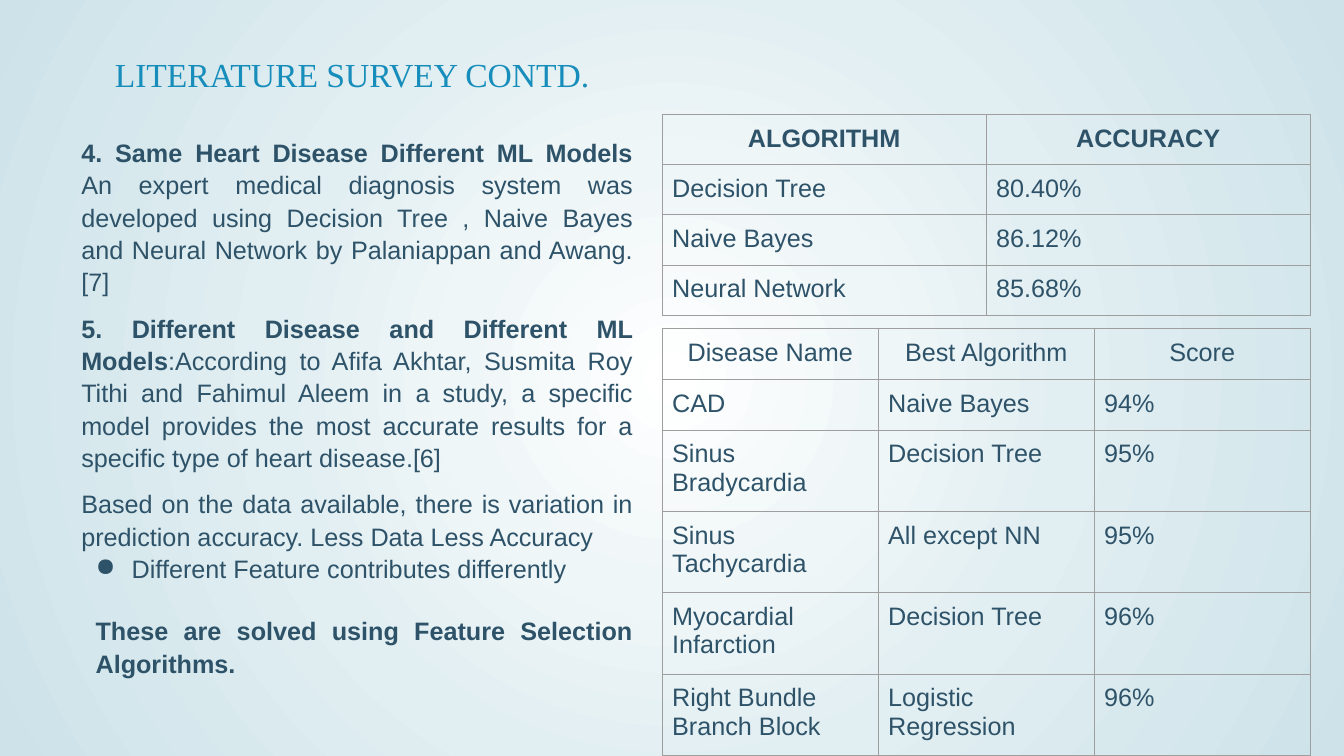
import pptx
import pptx.dml.color
import pptx.enum.text
import pptx.oxml
import pptx.oxml.ns
import pptx.util
from pptx.util import Cm

TEXT_COLOR = "2E5369"
TITLE_COLOR = "168DBA"
BORDER_COLOR = "9E9E9E"
GRADIENT_STOPS = [(0, "FFFFFF"), (28, "EFF6F8"), (52, "E1EEF2"), (100, "CDE3E9")]
ALIGN = pptx.enum.text.PP_ALIGN

# Each paragraph: runs as (text, bold), space before, left margin, first-line indent, bullet
SURVEY = [
    ([("4. Same Heart Disease Different ML Models", True),
      ("\vAn expert medical diagnosis system was developed using Decision Tree , "
       "Naive Bayes and Neural Network by Palaniappan and Awang.[7]", False)], 0, 0, 0, None),
    ([("5. Different Disease and Different ML Models", True),
      (":According to Afifa Akhtar, Susmita Roy Tithi and Fahimul Aleem in a study, "
       "a specific model provides the most accurate results for a specific type of "
       "heart disease.[6]", False)], 10, 0, 0, None),
    ([("Based on the data available, there is variation in prediction accuracy. "
       "Less Data Less Accuracy", False)], 10, 0, 0, None),
    ([("Different Feature contributes differently", False)], 0, 1.27, -0.91, "●"),
    ([("These are solved using Feature Selection Algorithms.", True)], 21.5, 0.36, 0, None),
]
ACCURACY_ROWS = [
    ("ALGORITHM", "ACCURACY"),
    ("Decision Tree", "80.40%"),
    ("Naive Bayes", "86.12%"),
    ("Neural Network", "85.68%"),
]
DISEASE_ROWS = [
    ("Disease Name", "Best Algorithm", "Score"),
    ("CAD", "Naive Bayes", "94%"),
    ("Sinus Bradycardia", "Decision Tree", "95%"),
    ("Sinus Tachycardia", "All except NN", "95%"),
    ("Myocardial Infarction", "Decision Tree", "96%"),
    ("Right Bundle Branch Block", "Logistic Regression", "96%"),
]


def color(hex_string):
    return pptx.dml.color.RGBColor.from_string(hex_string)


def xml(tag_text):
    """Parse a fragment whose first tag is in the a: namespace."""
    name, rest = tag_text[1:].split(" ", 1)
    return pptx.oxml.parse_xml(f"<{name} {pptx.oxml.ns.nsdecls('a')} {rest}")


def format_font(font, size=18, hex_string=TEXT_COLOR, name="Arial", bold=False):
    font.size = pptx.util.Pt(size)
    font.name = name
    font.bold = bold
    font.color.rgb = color(hex_string)


def fill_background(slide):
    slide.background.fill.gradient()
    linear = slide.element.find(".//" + pptx.oxml.ns.qn("a:gradFill"))
    stops = "".join(f'<a:gs pos="{position * 1000}"><a:srgbClr val="{hex_string}"/></a:gs>'
                    for position, hex_string in GRADIENT_STOPS)
    radial = xml(f'<a:gradFill rotWithShape="1"><a:gsLst>{stops}</a:gsLst><a:path path="circle">'
                 '<a:fillToRect l="50000" t="50000" r="50000" b="50000"/></a:path></a:gradFill>')
    linear.getparent().replace(linear, radial)


def add_title(slide, left, top, width, height):
    text_frame = slide.shapes.add_textbox(left, top, width, height).text_frame
    text_frame.word_wrap = True
    text_frame.text = "LITERATURE SURVEY CONTD."
    paragraph = text_frame.paragraphs[0]
    paragraph.alignment = ALIGN.CENTER
    format_font(paragraph.runs[0].font, 24, TITLE_COLOR, "Times New Roman")


def add_survey(slide, left, top, width, height):
    text_frame = slide.shapes.add_textbox(left, top, width, height).text_frame
    text_frame.word_wrap = True
    for index, (runs, space_before, margin, indent, bullet) in enumerate(SURVEY):
        paragraph = text_frame.add_paragraph() if index else text_frame.paragraphs[0]
        paragraph.text = "".join(text for text, bold in runs[:1])
        for text, bold in runs[1:]:
            if text.startswith("\v"):
                paragraph.add_line_break()
            paragraph.add_run().text = text.lstrip("\v")
        for run, (text, bold) in zip(paragraph.runs, runs):
            format_font(run.font, bold=bold)
        paragraph.alignment = ALIGN.JUSTIFY
        paragraph.line_spacing = 1.07
        paragraph.space_before = pptx.util.Pt(space_before)
        properties = paragraph._p.get_or_add_pPr()
        properties.set("marL", str(Cm(margin)))
        properties.set("indent", str(Cm(indent)))
        if bullet:
            properties.append(xml(f'<a:buClr ><a:srgbClr val="{TEXT_COLOR}"/></a:buClr>'))
            properties.append(xml(f'<a:buChar char="{bullet}"/>'))


def add_borders(cell):
    properties = cell._tc.get_or_add_tcPr()
    for position, side in enumerate(("lnL", "lnR", "lnT", "lnB")):
        properties.insert(position, xml(
            f'<a:{side} w="9525"><a:solidFill><a:srgbClr val="{BORDER_COLOR}"/>'
            f'</a:solidFill></a:{side}>'))


def add_grid(slide, left, top, width, rows, row_heights, bold_header):
    """Add a bordered table with equal columns and a centred header row."""
    column_count = len(rows[0])
    table = slide.shapes.add_table(len(rows), column_count, left, top, width,
                                   sum(row_heights)).table
    table.first_row = False
    table.horz_banding = False
    for column in table.columns:
        column.width = int(width / column_count)
    for row_index, (texts, row_height) in enumerate(zip(rows, row_heights)):
        table.rows[row_index].height = row_height
        is_header = row_index == 0
        for column_index, text in enumerate(texts):
            cell = table.cell(row_index, column_index)
            cell.margin_left = cell.margin_right = Cm(0.25)
            cell.margin_top = cell.margin_bottom = Cm(0.25)
            cell.fill.background()
            add_borders(cell)
            cell.text_frame.text = text
            paragraph = cell.text_frame.paragraphs[0]
            paragraph.alignment = ALIGN.CENTER if is_header else ALIGN.LEFT
            format_font(paragraph.runs[0].font, bold=is_header and bold_header)


def main():
    presentation = pptx.Presentation()
    presentation.slide_width = Cm(33.87)
    presentation.slide_height = Cm(19.05)
    slide = presentation.slides.add_slide(presentation.slide_layouts[6])
    fill_background(slide)
    add_title(slide, Cm(0), Cm(1.24), Cm(17.75), Cm(1.78))
    add_survey(slide, Cm(1.8), Cm(3.28), Cm(14.4), Cm(13.26))
    table_left, table_width = Cm(16.69), Cm(16.33)
    add_grid(slide, table_left, Cm(2.89), table_width, ACCURACY_ROWS,
             [Cm(1.22)] * 4, bold_header=True)
    add_grid(slide, table_left, Cm(8.28), table_width, DISEASE_ROWS,
             [Cm(1.28)] * 2 + [Cm(2.05)] * 4, bold_header=False)
    presentation.save("out.pptx")


if __name__ == "__main__":
    main()
